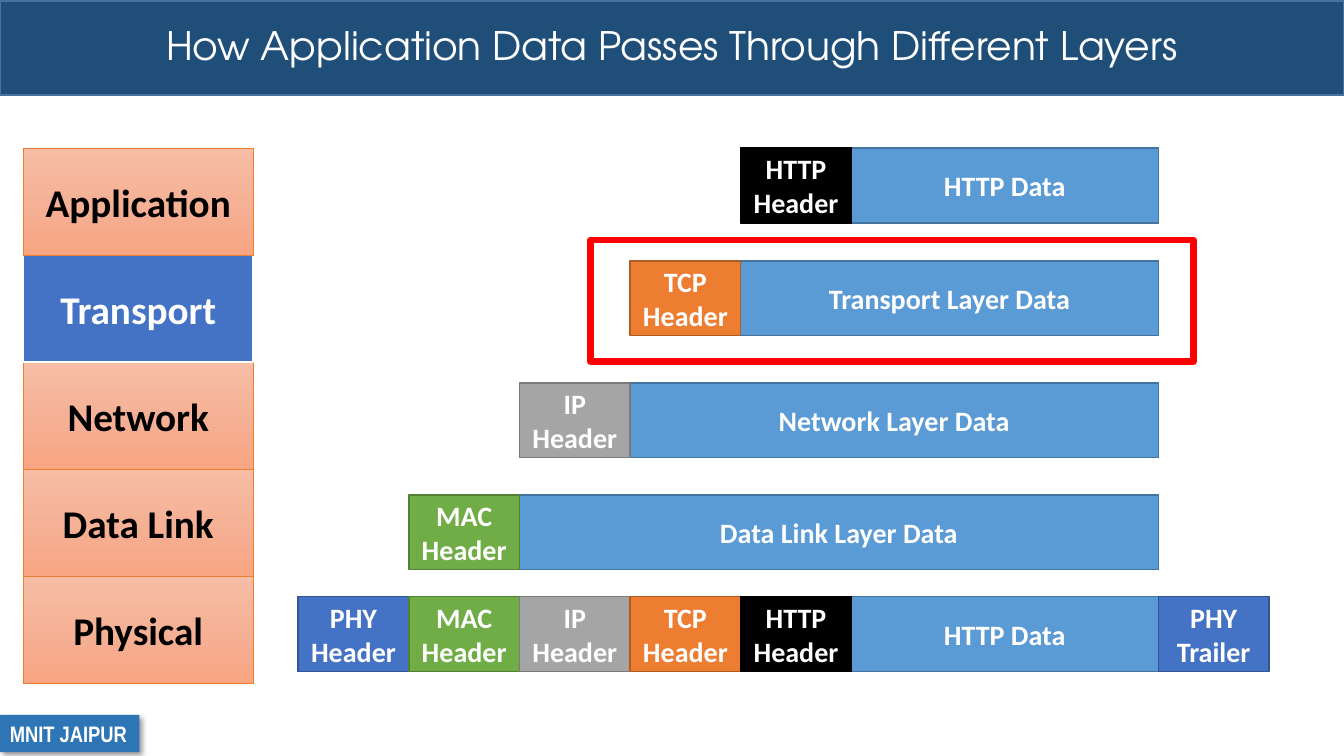
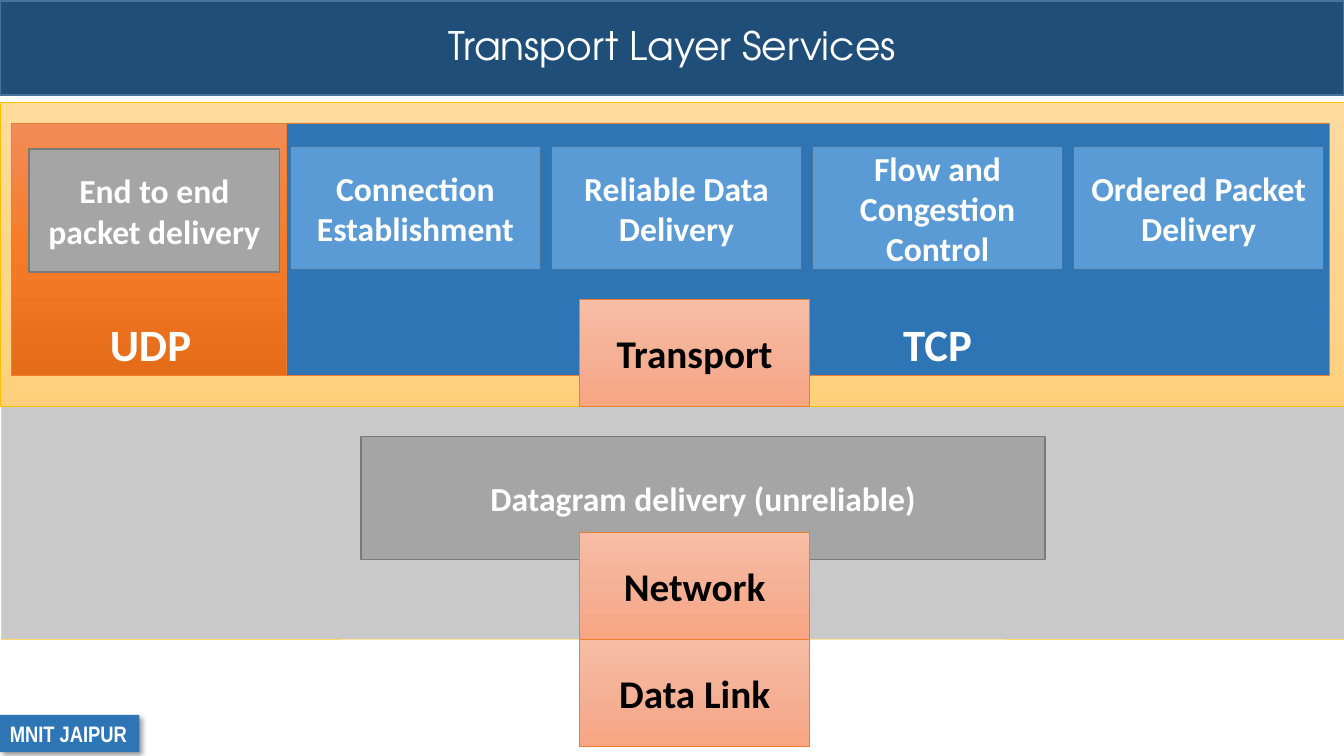
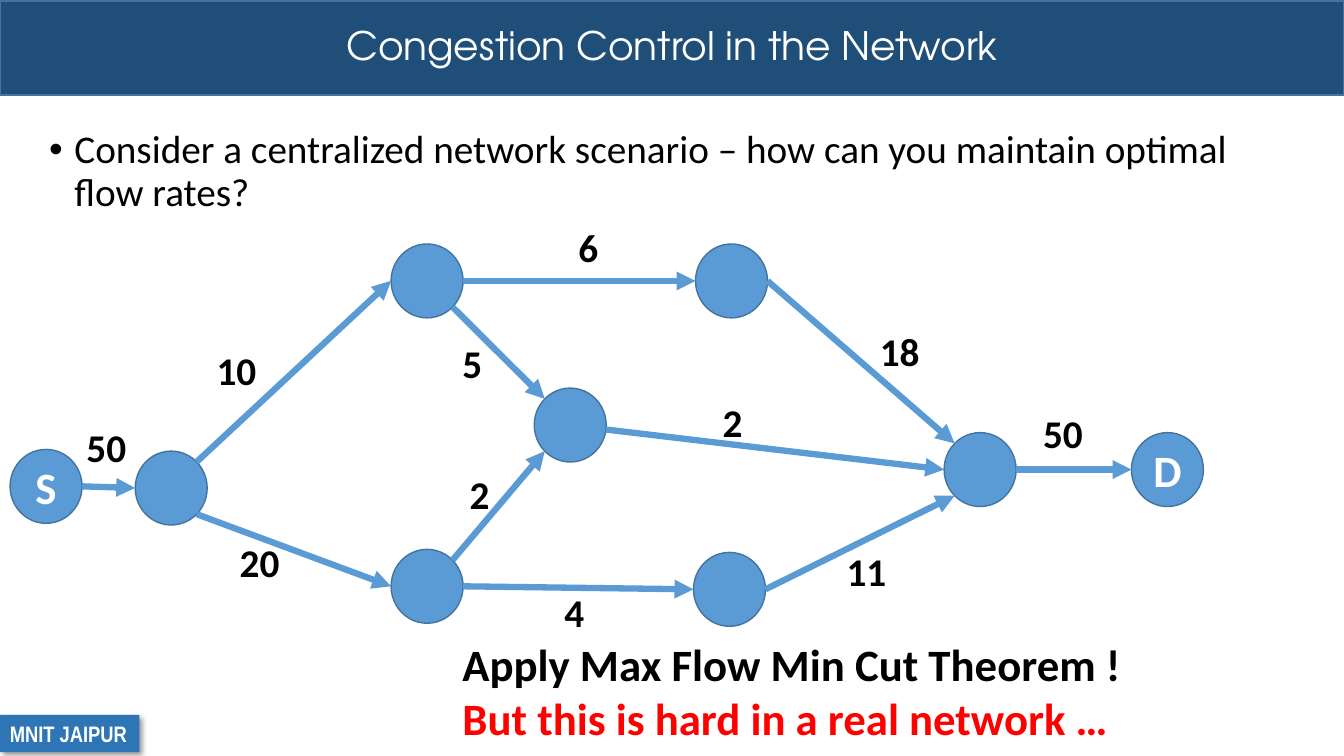
"""Build three slides on how the transport layer carries application data."""
import copy
import dataclasses
import math

import lxml.etree
import pptx
import pptx.dml.color
import pptx.enum.shapes
import pptx.enum.text
import pptx.oxml.ns
import pptx.util

RGBColor = pptx.dml.color.RGBColor
SHAPE = pptx.enum.shapes.MSO_SHAPE
ALIGN = pptx.enum.text.PP_ALIGN
ANCHOR = pptx.enum.text.MSO_ANCHOR
qn = pptx.oxml.ns.qn

WIDTH, HEIGHT = pptx.util.Inches(13.33), pptx.util.Inches(7.5)
COLUMN, ROW = WIDTH / 160, HEIGHT / 90

WHITE = RGBColor(0xFF, 0xFF, 0xFF)
BLACK = RGBColor(0x00, 0x00, 0x00)
RED = RGBColor(0xFF, 0x00, 0x00)
NAVY = RGBColor(0x1F, 0x4E, 0x79)
DEEP_BLUE = RGBColor(0x2E, 0x75, 0xB6)
BLUE = RGBColor(0x5B, 0x9B, 0xD5)
BLUE_EDGE = RGBColor(0x43, 0x73, 0x9E)
ROYAL = RGBColor(0x44, 0x72, 0xC4)
ROYAL_EDGE = RGBColor(0x32, 0x54, 0x91)
ORANGE = RGBColor(0xED, 0x7D, 0x31)
ORANGE_EDGE = RGBColor(0xAF, 0x5C, 0x24)
GREY = RGBColor(0xA5, 0xA5, 0xA5)
GREY_EDGE = RGBColor(0x7A, 0x7A, 0x7A)
LIGHT_GREY = RGBColor(0xC9, 0xC9, 0xC9)
GREEN = RGBColor(0x70, 0xAD, 0x47)
GREEN_EDGE = RGBColor(0x53, 0x80, 0x35)
GOLD = RGBColor(0xFF, 0xC0, 0x00)
PALE_GOLD = RGBColor(0xFF, 0xD9, 0x66)
PEACH_FADE = (RGBColor(0xF7, 0xBD, 0xA5), RGBColor(0xF5, 0xB1, 0x96), RGBColor(0xF8, 0xA5, 0x82))
ORANGE_FADE = (RGBColor(0xF1, 0x8C, 0x57), RGBColor(0xF6, 0x7B, 0x28), RGBColor(0xE5, 0x6C, 0x19))
GOLD_FADE = (RGBColor(0xFF, 0xDB, 0x9E), RGBColor(0xFF, 0xD5, 0x90), RGBColor(0xFF, 0xD0, 0x7C))

LAYER_WIDTH, LAYER_HEIGHT = 27.4, 12.75
SERVICE_WIDTH, SERVICE_HEIGHT = 29.8, 14.64
NODE_WIDTH, NODE_HEIGHT = 8.57, 8.8


@dataclasses.dataclass
class Box:
    """An area measured in grid columns and rows."""
    left: float
    top: float
    width: float
    height: float

    def area(self, left, top, width, height):
        """Return an area placed relative to this one."""
        return Box(self.left + left, self.top + top, width, height)

    def lengths(self):
        """Return left, top, width and height as slide lengths."""
        return (round(self.left * COLUMN), round(self.top * ROW),
                round(self.width * COLUMN), round(self.height * ROW))


PAGE = Box(0, 0, 160, 90)


def write(frame, text, size=28, color=WHITE, bold=True, font="Calibri",
          align=ALIGN.CENTER, spacing=None, bullet=None):
    """Add one formatted paragraph to a text frame and return it."""
    para = frame.add_paragraph() if frame.text else frame.paragraphs[0]
    para.alignment = align
    if bullet:
        properties = para._p.get_or_add_pPr()
        indent = pptx.util.Inches(0.25)
        properties.set("marL", str(indent))
        properties.set("indent", str(-indent))
        lxml.etree.SubElement(properties, qn("a:buFont"), typeface="Arial")
        lxml.etree.SubElement(properties, qn("a:buChar"), char=bullet)
    if spacing:
        para.line_spacing = spacing
    span = para.add_run()
    span.text = text
    span.font.name = font
    span.font.size = pptx.util.Pt(size)
    span.font.bold = bold
    span.font.color.rgb = color
    return para


def paint(shape, fill):
    """Fill a shape with nothing, one colour or a downward fade."""
    if fill is None:
        shape.fill.background()
    elif isinstance(fill, RGBColor):
        shape.fill.solid()
        shape.fill.fore_color.rgb = fill
    else:
        shape.fill.gradient()
        shape.fill.gradient_angle = 270
        stops = shape.element.spPr.find(".//" + qn("a:gsLst"))
        stops.insert(1, copy.deepcopy(stops[0]))
        for index, stop in enumerate(shape.fill.gradient_stops):
            stop.color.rgb = fill[index]
            stop.position = index / 2


def add_block(page, box, fill, edge=None, weight=1.0, text="", kind=SHAPE.RECTANGLE,
              anchor=ANCHOR.MIDDLE, **style):
    """Draw a preset shape with optional text."""
    block = page.shapes.add_shape(kind, *box.lengths())
    block.shadow.inherit = False
    paint(block, fill)
    if edge is None:
        block.line.fill.background()
    else:
        block.line.color.rgb = edge
        block.line.width = pptx.util.Pt(weight)
    block.text_frame.word_wrap = True
    block.text_frame.vertical_anchor = anchor
    if text:
        write(block.text_frame, text, **style)
    return block


def add_label(page, box, *lines, **style):
    """Add left-aligned text lines, each given with its colour."""
    frame = page.shapes.add_textbox(*box.lengths()).text_frame
    frame.word_wrap = True
    for text, color in lines:
        write(frame, text, color=color, align=ALIGN.LEFT, **style)


def add_arrow(page, start, end):
    """Draw an arrow between two grid points."""
    line = page.shapes.add_connector(
        pptx.enum.shapes.MSO_CONNECTOR.STRAIGHT,
        round(start[0] * COLUMN), round(start[1] * ROW),
        round(end[0] * COLUMN), round(end[1] * ROW))
    line.line.color.rgb = BLUE
    line.line.width = pptx.util.Pt(4.5)
    properties = line.element.spPr
    lxml.etree.SubElement(properties.find(qn("a:ln")), qn("a:tailEnd"), type="triangle")
    lxml.etree.SubElement(properties, qn("a:effectLst"))


def add_badge(page, box):
    """Draw the footer badge with its soft shadow."""
    badge = add_block(page, box, DEEP_BLUE, text="MNIT JAIPUR", size=16,
                      font="Arial Narrow", align=ALIGN.LEFT, anchor=ANCHOR.TOP)
    badge.text_frame.word_wrap = False
    shadow = lxml.etree.SubElement(
        badge.element.spPr.find(qn("a:effectLst")), qn("a:outerShdw"),
        blurRad=str(pptx.util.Pt(4)), dist=str(pptx.util.Pt(3)), dir="2700000",
        algn="tl", rotWithShape="0")
    color = lxml.etree.SubElement(shadow, qn("a:srgbClr"), val=str(BLACK))
    lxml.etree.SubElement(color, qn("a:alpha"), val="40000")


def add_page(deck, title):
    """Add a blank slide with the title band and the badge."""
    page = deck.slides.add_slide(deck.slide_layouts[6])
    add_block(page, PAGE.area(0, 0.1, 160, 11.2), NAVY, BLUE_EDGE, text=title,
              font="TeX Gyre Adventor", bold=False, spacing=0.9)
    add_badge(page, PAGE.area(0, 85.1, 16.6, 4.44))
    return page


def add_layer(page, box, name, active=False):
    """Draw one named layer of the protocol stack."""
    if active:
        add_block(page, box, ROYAL, WHITE, 1.5, name)
    else:
        add_block(page, box, PEACH_FADE, ORANGE, 0.5, name, color=BLACK)


def add_stack(page, box):
    """Draw the five layers from the bottom up."""
    names = ["Application", "Transport", "Network", "Data Link", "Physical"]
    for row, name in reversed(list(enumerate(names))):
        add_layer(page, box.area(0, row * LAYER_HEIGHT, LAYER_WIDTH, LAYER_HEIGHT),
                  name, active=name == "Transport")


def add_packets(page, box):
    """Draw the packet of each layer, headers growing to the left."""
    step, height, data_end = 13.17, 8.9, 102.4
    headers = [("PHY Header", ROYAL, ROYAL_EDGE), ("MAC Header", GREEN, GREEN_EDGE),
               ("IP Header", GREY, GREY_EDGE), ("TCP Header", ORANGE, ORANGE_EDGE),
               ("HTTP Header", BLACK, BLACK)]
    packets = [(0, 4, 4, "HTTP Data"), (13.44, 3, 3, "Transport Layer Data"),
               (27.96, 2, 2, "Network Layer Data"), (41.28, 1, 1, "Data Link Layer Data"),
               (53.4, 0, 4, "HTTP Data")]
    for top, first, last, data in packets:
        data_left = (last + 1) * step
        add_block(page, box.area(data_left, top, data_end - data_left, height),
                  BLUE, BLUE_EDGE, text=data, size=20)
        for index in range(first, last + 1):
            name, fill, edge = headers[index]
            add_block(page, box.area(index * step, top, step, height),
                      fill, edge, text=name, size=20)
    add_block(page, box.area(data_end, packets[-1][0], step, height),
              ROYAL, ROYAL_EDGE, text="PHY Trailer", size=20)
    add_block(page, box.area(34.8, 10.92, 71.8, 14.5), None, RED, 4.5)


def add_service(page, box, name, fill=BLUE, edge=BLUE_EDGE):
    """Draw one service offered by a layer."""
    add_block(page, box, fill, edge, text=name, size=24)


def add_transport_services(page, box):
    """Draw the transport band with its two protocols."""
    add_block(page, box, GOLD_FADE, GOLD, 0.5)
    add_block(page, box.area(1.32, 2.4, 33.2, 30.1), ORANGE_FADE, ORANGE, 0.5, "UDP",
              anchor=ANCHOR.BOTTOM, size=32)
    add_service(page, box.area(3.48, 5.52, SERVICE_WIDTH, SERVICE_HEIGHT),
                "End to end packet delivery", GREY, GREY_EDGE)
    tcp = add_block(page, box.area(34.1, 2.4, 124.2, 30.1), DEEP_BLUE, ORANGE, 0.5, "TCP",
                    anchor=ANCHOR.BOTTOM, size=32)
    tcp.text_frame.margin_left = round(32 * COLUMN)
    services = ["Connection Establishment", "Reliable Data Delivery",
                "Flow and Congestion Control", "Ordered Packet Delivery"]
    for index, name in enumerate(services):
        add_service(page, box.area(34.56 + index * 31.08, 5.2, SERVICE_WIDTH, SERVICE_HEIGHT),
                    name)


def add_network_services(page, box):
    """Draw the network band with its datagram service."""
    add_block(page, box, LIGHT_GREY, PALE_GOLD, 0.5)
    add_service(page, box.area(42.8, 3.6, 81.4, SERVICE_HEIGHT),
                "Datagram delivery (unreliable)", GREY, GREY_EDGE)


def rim_point(box, degrees):
    """Return the point on an ellipse at a clockwise angle from the right."""
    angle = math.radians(degrees)
    return (box.left + box.width / 2 * (1 + math.cos(angle)),
            box.top + box.height / 2 * (1 + math.sin(angle)))


def add_flow_network(page, box):
    """Draw the nodes, the links and the capacity of each link."""
    places = {"S": (1.2, 29.5), "entry": (16.1, 29.7), "upper": (46.56, 5.04),
              "lower": (46.56, 41.4), "upper far": (82.8, 5.04),
              "lower far": (82.56, 41.76), "middle": (63.6, 22.2),
              "exit": (112.4, 27.5), "D": (134.7, 27.5)}
    links = [("S", 0, "entry", 180, "50", 9.12, 25.8),
             ("entry", -45, "upper", 180, "10", 24.6, 16.68),
             ("entry", 45, "lower", 180, "20", 27.36, 39.48),
             ("upper", 0, "upper far", 180, "6", 67.68, 2.04),
             ("upper", 45, "middle", 225, "5", 53.88, 15.84),
             ("lower", -45, "middle", 135, "2", 54.72, 31.44),
             ("lower", 0, "lower far", 180, "4", 66, 45.48),
             ("middle", 7, "exit", 180, "2", 84.84, 22.8),
             ("upper far", 0, "exit", 225, "18", 103.56, 14.4),
             ("lower far", 0, "exit", 135, "11", 99.6, 40.56),
             ("exit", 0, "D", 180, "50", 123, 24.12)]
    nodes = {name: box.area(*place, NODE_WIDTH, NODE_HEIGHT)
             for name, place in places.items()}
    for name, node in nodes.items():
        add_block(page, node, BLUE, BLUE_EDGE, kind=SHAPE.OVAL,
                  text=name if name in ("S", "D") else "", size=32)
    for start, leave, end, arrive, capacity, left, top in links:
        add_arrow(page, rim_point(nodes[start], leave), rim_point(nodes[end], arrive))
        add_label(page, box.area(left, top, 7.92, 6.84), (capacity, BLACK))


def build_encapsulation(deck):
    """Build the slide on headers added by each layer."""
    page = add_page(deck, "How Application Data Passes Through Different Layers")
    add_stack(page, PAGE.area(2.76, 17.64, LAYER_WIDTH, 5 * LAYER_HEIGHT))
    add_packets(page, PAGE.area(35.5, 17.64, 115.57, 62.3))


def build_services(deck):
    """Build the slide on transport and network services."""
    page = add_page(deck, "Transport Layer Services")
    add_network_services(page, PAGE.area(0.2, 48.36, 159.8, 27.72))
    add_transport_services(page, PAGE.area(0, 12.24, 160, 36.12))
    for name, top in [("Transport", 35.64), ("Network", 63.36), ("Data Link", 76.08)]:
        add_layer(page, PAGE.area(69, top, LAYER_WIDTH, LAYER_HEIGHT), name)


def build_congestion(deck):
    """Build the slide on flow rates in a small network."""
    page = add_page(deck, "Congestion Control in the Network")
    add_label(page, PAGE.area(4.68, 14.88, 151.6, 12),
              ("Consider a centralized network scenario – how can you maintain optimal flow rates?",
               BLACK), bold=False, spacing=0.9, bullet="•")
    add_flow_network(page, PAGE.area(0, 24, 160, 54))
    add_label(page, PAGE.area(53.88, 75.24, 83, 14.16),
              ("Apply Max Flow Min Cut Theorem !", BLACK),
              ("But this is hard in a real network …", RED), size=32)


def main():
    """Build and save the deck."""
    deck = pptx.Presentation()
    deck.slide_width, deck.slide_height = WIDTH, HEIGHT
    build_encapsulation(deck)
    build_services(deck)
    build_congestion(deck)
    deck.save("out.pptx")


if __name__ == "__main__":
    main()
